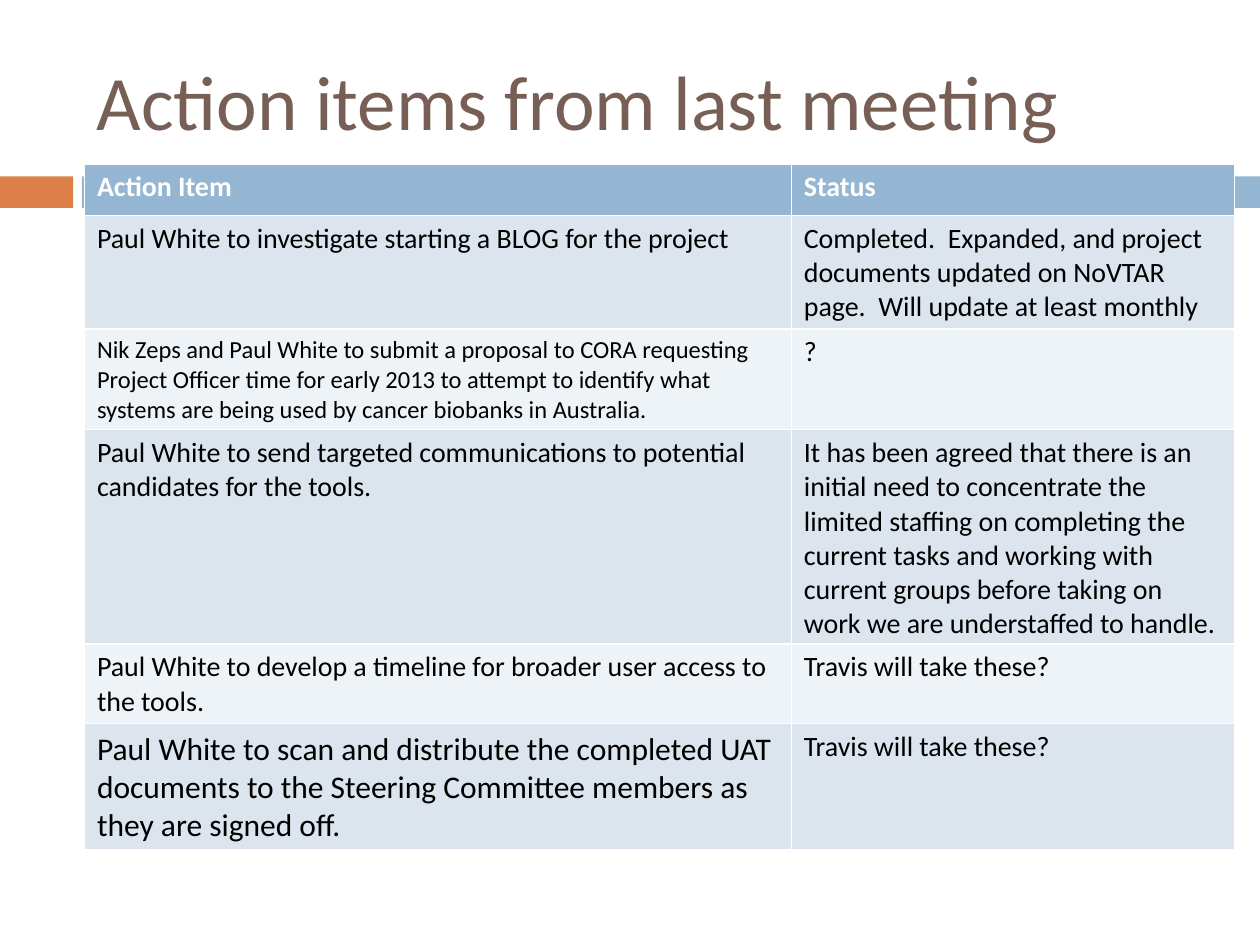
import pptx
import pptx.util
import pptx.dml.color
import pptx.enum.shapes
import pptx.enum.text

Inches = pptx.util.Inches

COLORS = {
    "orange": "DD8047", "blue": "94B6D2", "brown": "775F55",
    "white": "FFFFFF", "black": "000000",
    "band_dark": "DCE5EE", "band_light": "EEF3F7",
}
FONT = "Calibri"
TITLE = "Action items from last meeting"
HEADER = ("Action Item", "Status")
ITEMS = [
    ("Paul White to investigate starting a BLOG for the project", 16,
     "Completed.  Expanded, and project documents updated on NoVTAR page.  "
     "Will update at least monthly"),
    ("Nik Zeps and Paul White to submit a proposal to CORA requesting Project "
     "Officer time for early 2013 to attempt to identify what systems are "
     "being used by cancer biobanks in Australia.", 14, "?"),
    ("Paul White to send targeted communications to potential candidates for "
     "the tools.", 16,
     "It has been agreed that there is an initial need to concentrate the "
     "limited staffing on completing the current tasks and working with "
     "current groups before taking on work we are understaffed to handle."),
    ("Paul White to develop a timeline for broader user access to the tools.",
     16, "Travis will take these?"),
    ("Paul White to scan and distribute the completed UAT documents to the "
     "Steering Committee members as they are signed off.", 18,
     "Travis will take these?"),
]
BARS = [(0, 0.58, "orange"), (0.65, 9.35, "blue")]
BAR_TOP, BAR_HEIGHT = 1.4, 0.25
LEFT, TABLE_TOP = 0.67, 1.3
COLUMNS = (5.61, 3.52)
ROW_HEIGHT, LAST_ROW_HEIGHT = 0.41, 0.32


def rgb(name):
    return pptx.dml.color.RGBColor.from_string(COLORS[name])


def paint(target, color):
    target.fill.solid()
    target.fill.fore_color.rgb = rgb(color)


def write(tf, text, size=16, color="black", bold=False):
    r = tf.paragraphs[0].add_run()
    r.text = text
    r.font.name = FONT
    r.font.size = pptx.util.Pt(size)
    r.font.bold = bold
    r.font.color.rgb = rgb(color)


def add_bars(slide):
    for left, width, color in BARS:
        sp = slide.shapes.add_shape(
            pptx.enum.shapes.MSO_SHAPE.RECTANGLE,
            Inches(left), Inches(BAR_TOP), Inches(width), Inches(BAR_HEIGHT))
        sp.shadow.inherit = False
        paint(sp, color)
        sp.line.fill.background()


def add_title(slide):
    sp = slide.shapes.add_textbox(
        Inches(LEFT), Inches(0.25), Inches(8.92), Inches(1.08))
    tf = sp.text_frame
    tf.word_wrap = True
    tf.vertical_anchor = pptx.enum.text.MSO_ANCHOR.MIDDLE
    write(tf, TITLE, size=44, color="brown")


def add_items(slide):
    heights = [ROW_HEIGHT] * len(ITEMS) + [LAST_ROW_HEIGHT]
    table = slide.shapes.add_table(
        len(heights), len(COLUMNS), Inches(LEFT), Inches(TABLE_TOP),
        Inches(sum(COLUMNS)), Inches(sum(heights))).table
    for column, width in zip(table.columns, COLUMNS):
        column.width = Inches(width)
    for row, height in zip(table.rows, heights):
        row.height = Inches(height)

    for cell, text in zip(table.rows[0].cells, HEADER):
        paint(cell, "blue")
        write(cell.text_frame, text, color="white", bold=True)
    for i, (action, size, status) in enumerate(ITEMS, start=1):
        for cell in table.rows[i].cells:
            paint(cell, "band_dark" if i % 2 else "band_light")
        write(table.cell(i, 0).text_frame, action, size=size)
        write(table.cell(i, 1).text_frame, status)


def main():
    prs = pptx.Presentation()
    prs.slide_width, prs.slide_height = Inches(10), Inches(7.5)
    slide = prs.slides.add_slide(prs.slide_layouts[6])
    paint(slide.background, "white")
    add_bars(slide)
    add_title(slide)
    add_items(slide)
    prs.save("out.pptx")


if __name__ == "__main__":
    main()
